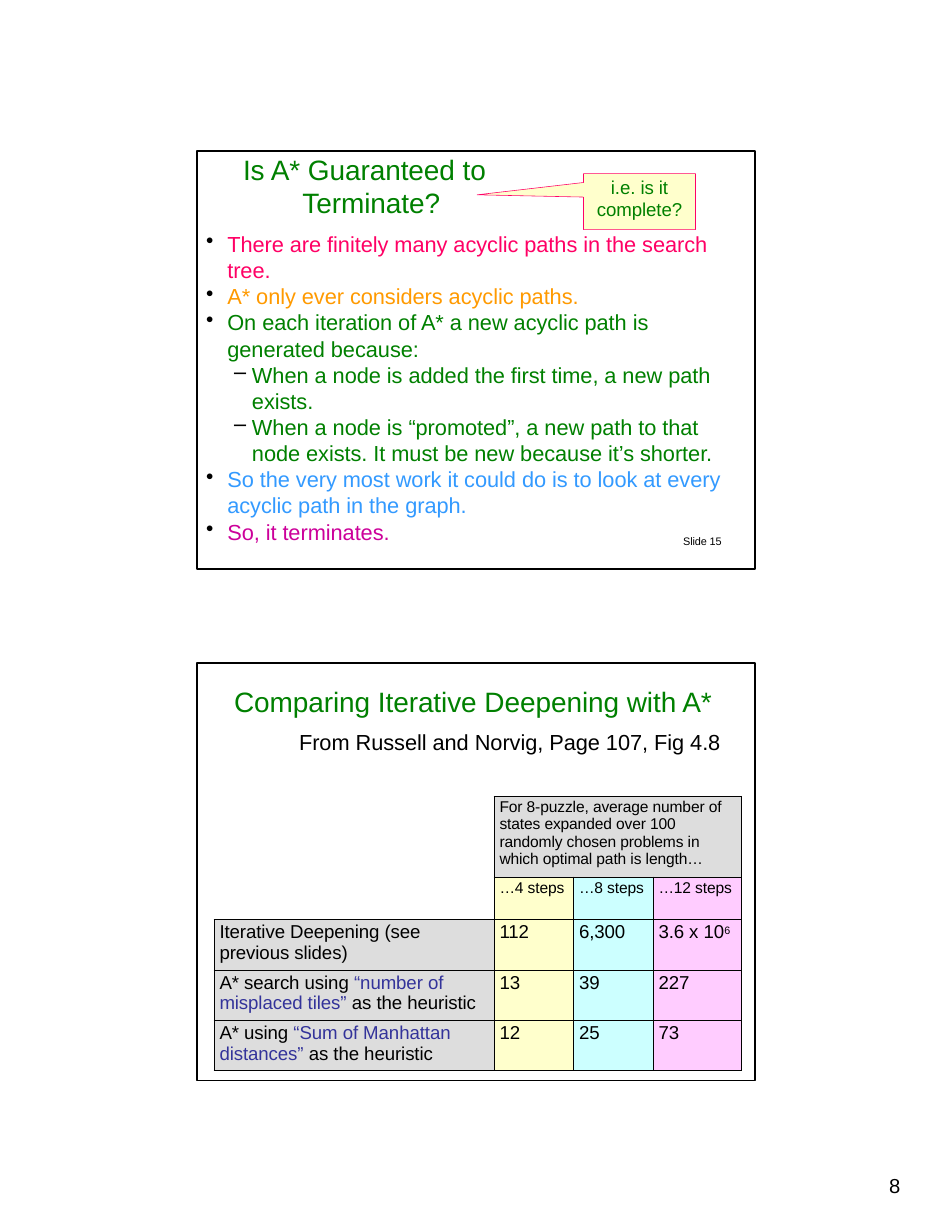
from lxml import etree
from pptx import Presentation
from pptx.dml.color import RGBColor
from pptx.enum.shapes import MSO_SHAPE
from pptx.enum.text import MSO_ANCHOR, MSO_AUTO_SIZE, PP_ALIGN
from pptx.oxml.ns import qn
from pptx.util import Inches, Pt

FONT = "Arial"
BLACK, GREEN, PINK, NAVY = "000000", "008000", "FF0167", "33339A"
GREY, YELLOW, CYAN, ROSE = "DDDDDD", "FFFFCC", "CCFFFF", "FFCCFF"
PANEL_LEFT, PANEL_WIDTH, PANEL_HEIGHT = 1.76, 4.98, 3.73


def rgb(value):
    return RGBColor.from_string(value)


def add_span(para, text, size, color=BLACK, raised=False):
    span = para.add_run()
    span.text = text
    span.font.name = FONT
    span.font.size = Pt(size)
    span.font.color.rgb = rgb(color)
    properties = span._r.get_or_add_rPr()
    properties.set("spc", "-5")
    if raised:
        properties.set("baseline", "24000")


def set_frame(frame, top=0.01):
    frame.word_wrap = True
    frame.auto_size = MSO_AUTO_SIZE.NONE
    frame.vertical_anchor = MSO_ANCHOR.TOP
    frame.margin_left = frame.margin_right = frame.margin_bottom = 0
    frame.margin_top = Inches(top)


def add_text(page, left, top, width, height, text, size, color=BLACK, inset=0.01):
    box = page.shapes.add_textbox(Inches(left), Inches(top), Inches(width), Inches(height))
    set_frame(box.text_frame, inset)
    para = box.text_frame.paragraphs[0]
    add_span(para, text, size, color)
    return box


def set_indent(para, left, first):
    properties = para._p.get_or_add_pPr()
    properties.set("marL", str(Inches(left)))
    properties.set("indent", str(Inches(first)))
    return properties


def add_panel_frame(page, top):
    frame = page.shapes.add_shape(MSO_SHAPE.RECTANGLE, Inches(PANEL_LEFT), Inches(top),
                                  Inches(PANEL_WIDTH), Inches(PANEL_HEIGHT))
    frame.shadow.inherit = False
    frame.fill.background()
    frame.line.color.rgb = rgb(BLACK)
    frame.line.width = Pt(1)


def add_bullets(page, left, top, width, height, items):
    box = page.shapes.add_textbox(Inches(left), Inches(top), Inches(width), Inches(height))
    frame = box.text_frame
    set_frame(frame)
    for index, (level, text, color) in enumerate(items):
        para = frame.add_paragraph() if index else frame.paragraphs[0]
        para.level = level
        indent, mark = ((0.19, "•"), (0.41, "–"))[level]
        properties = set_indent(para, indent, (-0.19, -0.16)[level])
        bullet_color = etree.SubElement(properties, qn("a:buClr"))
        etree.SubElement(bullet_color, qn("a:srgbClr"), val=BLACK)
        etree.SubElement(properties, qn("a:buChar"), char=mark)
        add_span(para, text, 14, color)


def add_callout(page, left, top):
    # Box one inch wide with a pointer to the left
    outline = [(0, 0), (0, 0.08), (-0.95, 0.19), (0, 0.21), (0, 0.5), (1, 0.5), (1, 0)]
    points = [(Inches(left + x), Inches(top + y)) for x, y in outline]
    builder = page.shapes.build_freeform(*points[0])
    builder.add_line_segments(points[1:], close=True)
    callout = builder.convert_to_shape()
    callout.shadow.inherit = False
    callout.fill.solid()
    callout.fill.fore_color.rgb = rgb(YELLOW)
    callout.line.color.rgb = rgb(PINK)
    callout.line.width = Pt(0.37)
    label = add_text(page, left + 0.11, top + 0.01, 0.78, 0.43, "i.e. is it complete?", 12, GREEN)
    label.text_frame.paragraphs[0].alignment = PP_ALIGN.CENTER


def add_termination_panel(page, top):
    left = PANEL_LEFT
    add_panel_frame(page, top)
    # Title
    title = page.shapes.title
    title.left, title.top = Inches(left + 0.41), Inches(top)
    title.width, title.height = Inches(2.21), Inches(0.63)
    set_frame(title.text_frame)
    para = title.text_frame.paragraphs[0]
    para.alignment = PP_ALIGN.LEFT
    set_indent(para, 0.53, -0.53)
    add_span(para, "Is A* Guaranteed to Terminate?", 18, GREEN)
    # Argument
    add_bullets(page, left + 0.08, top + 0.7, 4.63, 2.6, [
        (0, "There are finitely many acyclic paths in the search tree.", "FF0065"),
        (0, "A* only ever considers acyclic paths.", "FF9A00"),
        (0, "On each iteration of A* a new acyclic path is generated because:", GREEN),
        (1, "When a node is added the first time, a new path exists.", GREEN),
        (1, "When a node is “promoted”, a new path to that node exists. "
            "It must be new because it’s shorter.", GREEN),
        (0, "So the very most work it could do is to look at every acyclic path in the graph.",
         "339AFF"),
    ])
    add_bullets(page, left + 0.08, top + 3.27, 1.66, 0.26,
                [(0, "So, it terminates.", "CC009A")])
    add_callout(page, left + 3.45, top + 0.2)
    add_text(page, left + 4.34, top + 3.41, 0.4, 0.15, "Slide 15", 7)


def set_borders(cell, sides):
    properties = cell._tc.get_or_add_tcPr()
    for position, side in enumerate(("L", "R", "T", "B")):
        shown = side in sides
        line = etree.Element(qn("a:ln" + side), w=str(Pt(0.5) if shown else 0))
        if shown:
            fill = etree.SubElement(line, qn("a:solidFill"))
            etree.SubElement(fill, qn("a:srgbClr"), val="010101")
        else:
            etree.SubElement(line, qn("a:noFill"))
        properties.insert(position, line)


def fill_cell(cell, spans, size, color):
    cell.margin_left = cell.margin_right = Inches(0.05)
    cell.vertical_anchor = MSO_ANCHOR.TOP
    cell.fill.solid()
    cell.fill.fore_color.rgb = rgb(color)
    para = cell.text_frame.paragraphs[0]
    para.space_before = Pt(1.5)
    for span in spans:
        add_span(para, span[0], size, *span[1:])


def add_results_table(page, left, top):
    widths, heights = [2.5, 0.71, 0.71, 0.79], [0.72, 0.38, 0.45, 0.45, 0.45]
    table_frame = page.shapes.add_table(5, 4, Inches(left), Inches(top),
                                        Inches(sum(widths)), Inches(sum(heights)))
    table = table_frame.table
    table.first_row = table.horz_banding = False
    for column, width in zip(table.columns, widths):
        column.width = Inches(width)
    for row, height in zip(table.rows, heights):
        row.height = Inches(height)
    table.cell(0, 0).merge(table.cell(1, 0))
    table.cell(0, 1).merge(table.cell(0, 3))

    # Column heads
    heading = table.cell(0, 1)
    fill_cell(heading, [("For 8-puzzle, average number of states expanded over 100 randomly "
                         "chosen problems in which optimal path is length…",)], 10, GREY)
    heading.margin_right = Inches(0.12)
    rows = [
        [None, [("…4 steps",)], [("…8 steps",)], [("…12 steps",)]],
        [[("Iterative Deepening (see previous slides)",)],
         [("112",)], [("6,300",)], [("3.6 x 10",), ("6", BLACK, True)]],
        [[("A* search using ",), ("“number of misplaced tiles” ", NAVY), ("as the heuristic",)],
         [("13",)], [("39",)], [("227",)]],
        [[("A* using ",), ("“Sum of Manhattan distances” ", NAVY), ("as the heuristic",)],
         [("12",)], [("25",)], [("73",)]],
    ]
    for row_index, row in enumerate(rows, 1):
        for column_index, (spans, color) in enumerate(zip(row, (GREY, YELLOW, CYAN, ROSE))):
            if spans:
                fill_cell(table.cell(row_index, column_index), spans,
                          10 if row_index == 1 else 12, color)

    # Margins and borders, with the empty corner open at the top and left
    for row_index in range(5):
        for column_index in range(4):
            cell = table.cell(row_index, column_index)
            cell.margin_top, cell.margin_bottom = Inches(0.02), 0
            corner = column_index == 0 and row_index < 2
            if corner:
                cell.fill.background()
                cell.text_frame.paragraphs[0].font.size = Pt(10)
            set_borders(cell, "RB" if corner else "LRTB")


def add_comparison_panel(page, top):
    left = PANEL_LEFT
    add_panel_frame(page, top)
    heading = add_text(page, left + 0.32, top + 0.06, 4.39, 0.78,
                       "Comparing Iterative Deepening with A*", 18, GREEN, 0.13)
    set_indent(heading.text_frame.paragraphs[0], 0.01, 0)
    source = heading.text_frame.add_paragraph()
    source.space_before = Pt(6.8)
    set_indent(source, 0.59, 0)
    add_span(source, "From Russell and Norvig, Page 107, Fig 4.8", 14)
    add_results_table(page, left + 0.15, top + 1.19)


deck = Presentation()
deck.slide_width, deck.slide_height = Inches(8.5), Inches(11)
page = deck.slides.add_slide(deck.slide_layouts[5])
add_termination_panel(page, 1.35)
add_comparison_panel(page, 5.92)
# Page number
number = add_text(page, 7.91, 10.48, 0.26, 0.23, "8", 13, inset=0)
set_indent(number.text_frame.paragraphs[0], 0.03, 0)
number.text_frame.paragraphs[0].line_spacing = Pt(15.4)
deck.save("out.pptx")
